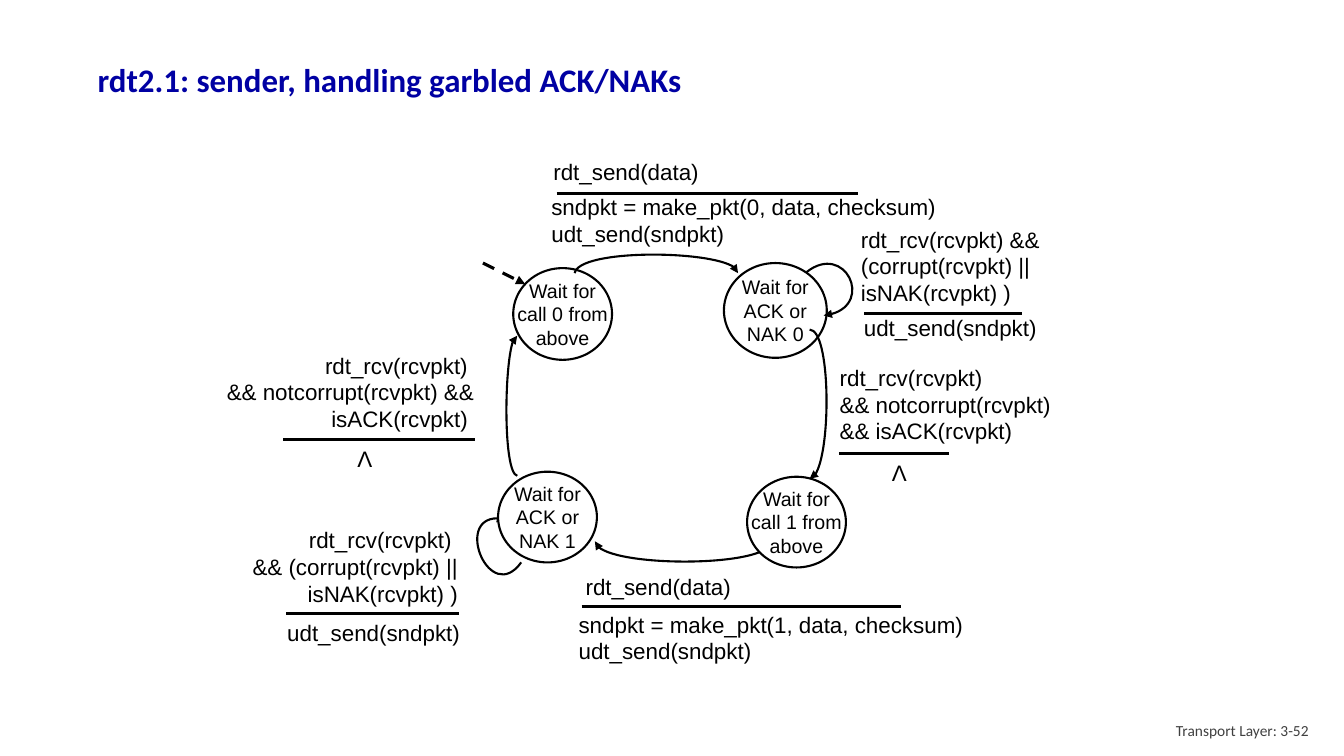
"""Draw the rdt2.1 sender state machine on one slide."""
from lxml.etree import SubElement
from pptx import Presentation
from pptx.dml.color import RGBColor
from pptx.enum.dml import MSO_LINE_DASH_STYLE as Dash
from pptx.enum.shapes import MSO_CONNECTOR as Connector, MSO_SHAPE as Preset
from pptx.enum.text import MSO_ANCHOR as Anchor, PP_ALIGN as Align
from pptx.oxml.ns import qn
from pptx.util import Inches, Pt

BLACK = RGBColor(0, 0, 0)
WHITE = RGBColor(255, 255, 255)
NAVY = RGBColor(0, 0, 0xA3)
GRAY = RGBColor(0x40, 0x40, 0x40)
CELL = Inches(0.1)
THIN, THICK = 1.5, 2.25
L, C, R = Align.LEFT, Align.CENTER, Align.RIGHT

TITLE = "rdt2.1: sender, handling garbled ACK/NAKs"
FOOTER = "Transport Layer: 3-52"

# Every place and length below counts grid cells.
STATES = [
    (["Wait for", "call 0 from", "above"], (50.9, 26.6, 9.8, 9.1)),
    (["Wait for", "ACK or", "NAK 0"], (71.8, 26.1, 10.2, 9.4)),
    (["Wait for", "call 1 from", "above"], (74.1, 47.3, 9.8, 9)),
    (["Wait for", "ACK or", "NAK 1"], (49.4, 46.8, 9.8, 9)),
]
LABELS = [
    (["rdt_send(data)"], (53.9, 15.2, 23.1), L),
    (["sndpkt = make_pkt(0, data, checksum)", "udt_send(sndpkt)"], (53.7, 18.7, 40.4), L),
    (["rdt_rcv(rcvpkt) &&", "(corrupt(rcvpkt) ||", "isNAK(rcvpkt) )"], (84.4, 21.9, 34.7), L),
    (["udt_send(sndpkt)"], (84.7, 30.7, 24.7), L),
    (["rdt_rcv(rcvpkt)", "&& notcorrupt(rcvpkt)", "&& isACK(rcvpkt)"], (82.3, 35.6, 32.7), L),
    (["Λ"], (86.7, 45.1, 5), C),
    (["rdt_send(data)"], (57.1, 56.4, 26.1), L),
    (["sndpkt = make_pkt(1, data, checksum)", "udt_send(sndpkt)"], (56.4, 60.1, 41.1), L),
    (["rdt_rcv(rcvpkt) ", "&& (corrupt(rcvpkt) ||", "isNAK(rcvpkt) )"], (20.3, 51.7, 26.1), R),
    (["udt_send(sndpkt)"], (27.5, 60.9, 19.9), L),
    (["rdt_rcv(rcvpkt) ", "&& notcorrupt(rcvpkt) &&", "isACK(rcvpkt) "], (8.4, 34.4, 39.6), R),
    (["Λ"], (33.7, 43.7, 5), C),
]
BARS = [(55.2, 85.1, 19.2), (85.7, 101.4, 31.1), (83.2, 94.1, 45),
        (57.7, 89.4, 60.2), (28.4, 45.5, 60.9), (28.1, 47.1, 43.6)]
ARCS_BEHIND = [
    [(76.5, 53.7), (76.5, 56.2), (59.3, 56.4), (59, 53.7)],
    [(51.7, 55.8), (48.6, 60.1), (44.6, 50.5), (50.1, 51.5)],
]
ARCS_FRONT = [
    [(57, 27.1), (57.4, 24.7), (73.2, 24.8), (73.2, 27.1)],
    [(80, 27), (83.8, 24), (87, 30.7), (81.7, 31.3)],
    [(80.3, 32.7), (82.4, 32.7), (82.5, 47.2), (80.3, 47.5)],
    [(51.3, 47.2), (49.9, 46.9), (50, 33.3), (51.3, 33.3)],
]
START = (47.9, 26.1, 52.1, 28.2)


def cells(values):
    return [round(value * CELL) for value in values]


def add_text(slide, lines, place, size=16, font="Arial", color=BLACK, bold=False,
             align=L, anchor=Anchor.TOP, spacing=1.0):
    frame = slide.shapes.add_textbox(*cells(place)).text_frame
    frame.word_wrap = True
    frame.vertical_anchor = anchor
    frame.text = "\n".join(lines)
    for line in frame.paragraphs:
        line.alignment = align
        line.line_spacing = spacing
        line.font.size = Pt(size)
        line.font.name = font
        line.font.bold = bold
        line.font.color.rgb = color


def ink(outline, width):
    outline.color.rgb = BLACK
    outline.width = Pt(width)


def add_arrowhead(outline):
    SubElement(outline._get_or_add_ln(), qn("a:tailEnd"), type="triangle")


def add_line(slide, ends):
    line = slide.shapes.add_connector(Connector.STRAIGHT, *cells(ends))
    ink(line.line, THICK)
    SubElement(line._element.spPr, qn("a:effectLst"))
    return line


def add_arc(slide, points):
    start, *bends = [cells(point) for point in points]
    builder = slide.shapes.build_freeform(*start)
    builder.add_line_segments(bends, close=False)
    arc = builder.convert_to_shape()
    arc.shadow.inherit = False
    arc.fill.background()
    ink(arc.line, THIN)
    add_arrowhead(arc.line)
    outline = next(arc._element.iter(qn("a:path")))
    curve = SubElement(outline, qn("a:cubicBezTo"))
    for segment in outline.findall(qn("a:lnTo")):
        curve.append(segment[0])
        outline.remove(segment)


def add_state(slide, lines, circle):
    state = slide.shapes.add_shape(Preset.OVAL, *cells(circle))
    state.shadow.inherit = False
    state.fill.solid()
    state.fill.fore_color.rgb = WHITE
    ink(state.line, THIN)
    left, top, width, height = circle
    add_text(slide, lines, (left - 1, top, width + 2, height), size=14, align=C,
             anchor=Anchor.MIDDLE)


def main():
    deck = Presentation()
    deck.slide_width, deck.slide_height = Inches(13.33), Inches(7.5)
    slide = deck.slides.add_slide(deck.slide_layouts[6])
    add_text(slide, [TITLE], (8.7, 3.2, 121.4, 9.8), size=23.5, font="Calibri",
             color=NAVY, bold=True, anchor=Anchor.MIDDLE, spacing=0.9)
    for points in ARCS_BEHIND:
        add_arc(slide, points)
    for lines, circle in STATES:
        add_state(slide, lines, circle)
    for points in ARCS_FRONT:
        add_arc(slide, points)
    start = add_line(slide, START)
    start.line.dash_style = Dash.DASH
    add_arrowhead(start.line)
    for left, right, row in BARS:
        add_line(slide, (left, row, right, row))
    for lines, place, align in LABELS:
        add_text(slide, lines, (*place, 2.7 * len(lines) + 1), align=align)
    add_text(slide, [FOOTER], (100.8, 70.5, 30, 4), size=11, font="Calibri",
             color=GRAY, align=R, anchor=Anchor.MIDDLE)
    deck.save("out.pptx")


if __name__ == "__main__":
    main()
